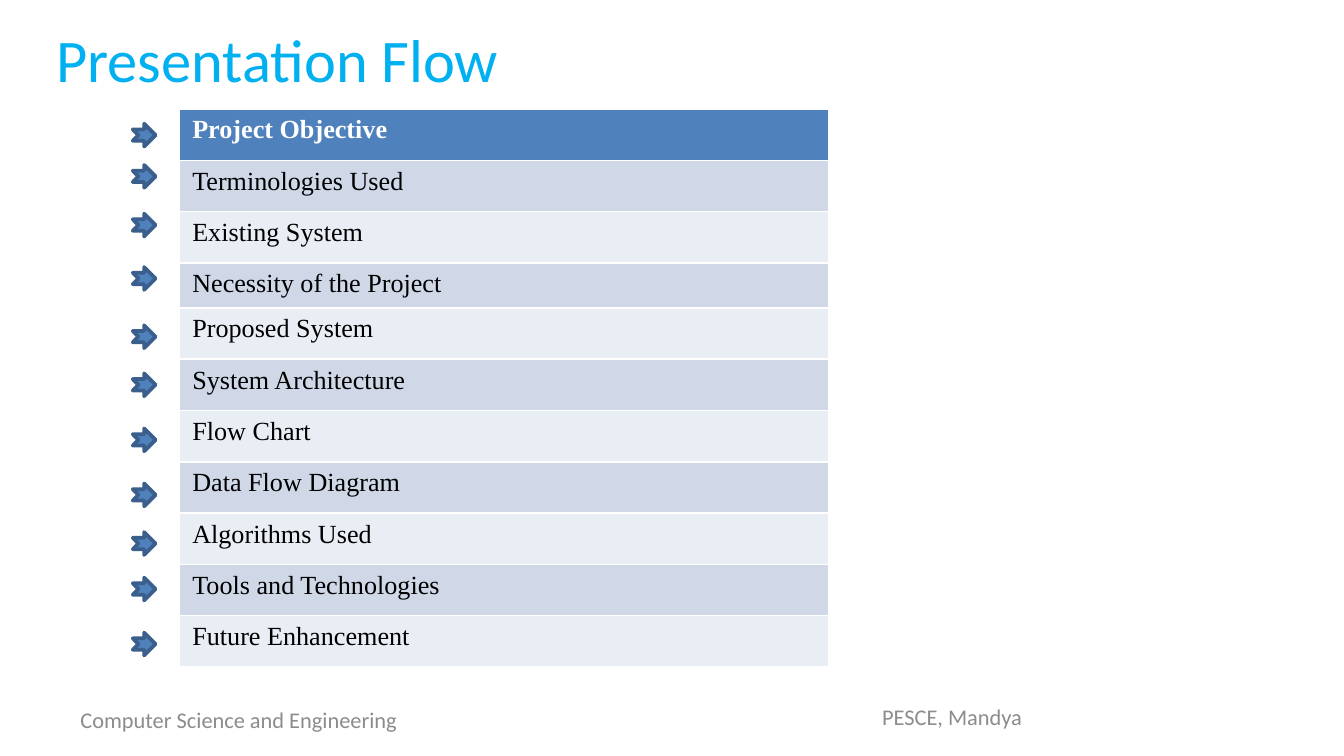
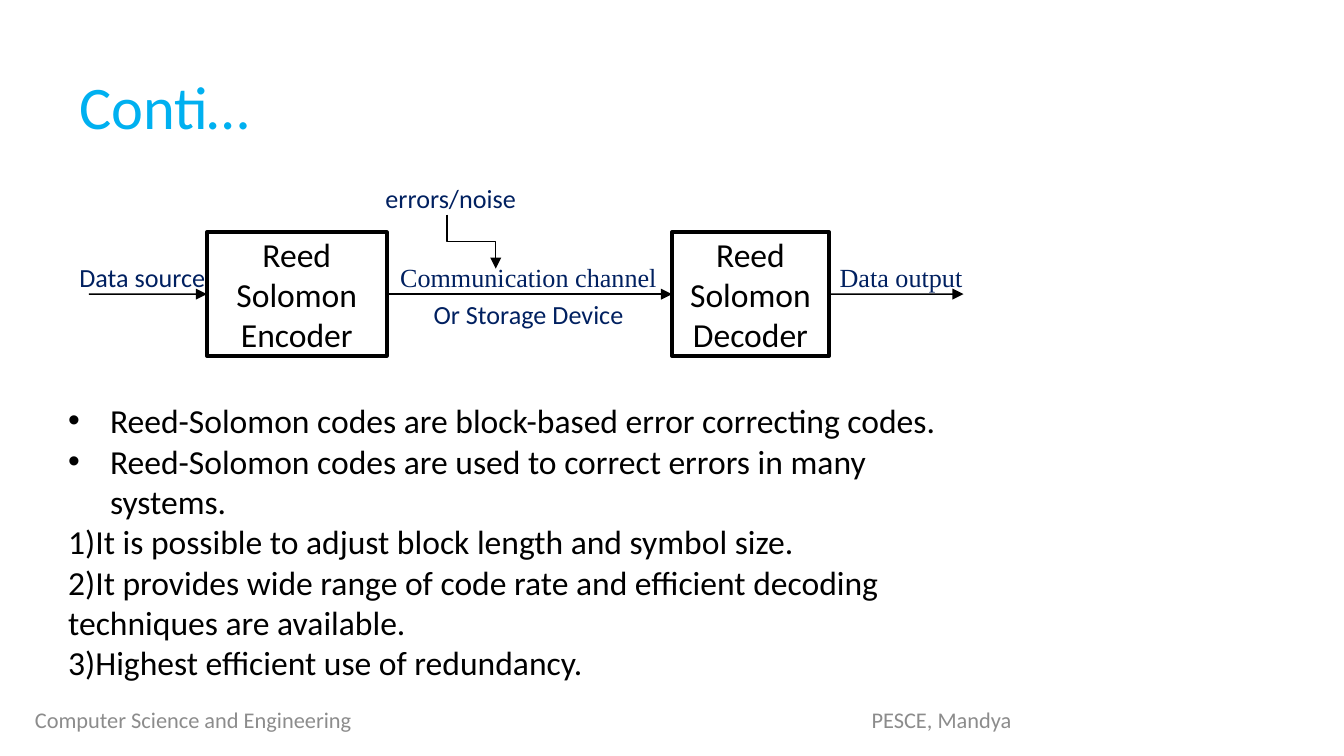
from lxml import etree
from pptx import Presentation
from pptx import util as u
from pptx.dml.color import RGBColor
from pptx.enum import shapes, text
from pptx.oxml.ns import qn

SKY = RGBColor(0x00, 0xB0, 0xF0)
BLUE = RGBColor(0x4F, 0x81, 0xBD)
DARK_BLUE = RGBColor(0x3A, 0x5F, 0x8C)
NAVY = RGBColor(0x00, 0x20, 0x60)
BANDS = RGBColor(0xE9, 0xED, 0xF4), RGBColor(0xD0, 0xD8, 0xE8)
GRAY = RGBColor(0x8C, 0x8C, 0x8C)
BLACK = RGBColor(0x00, 0x00, 0x00)
WHITE = RGBColor(0xFF, 0xFF, 0xFF)
SANS, SERIF = "Calibri", "Times New Roman"
LEFT, CENTER = text.PP_ALIGN.LEFT, text.PP_ALIGN.CENTER
TOP, MIDDLE = text.MSO_ANCHOR.TOP, text.MSO_ANCHOR.MIDDLE

TOPICS = [
    "Project Objective", "Terminologies Used", "Existing System",
    "Necessity of the Project", "Proposed System", "System Architecture",
    "Flow Chart", "Data Flow Diagram", "Algorithms Used",
    "Tools and Technologies", "Future Enhancement",
]
ARROW_TOPS = [2.34, 3.12, 4.04, 5.05, 6.15, 7.06, 8.1, 9.14, 10.06, 10.92, 11.96]
CODE_FACTS = [
    "Reed-Solomon codes are block-based error correcting codes.",
    "Reed-Solomon codes are used to correct errors in many systems.",
]
CODE_BENEFITS = [
    "1)It is possible to adjust block length and symbol size.",
    "2)It provides wide range of code rate and efficient decoding techniques are available.",
    "3)Highest efficient use of redundancy.",
]


class Deck:
    """Holds the shared style and the current slide."""

    def __init__(self):
        self.presentation = Presentation()
        self.presentation.slide_width = u.Cm(25.4)
        self.presentation.slide_height = u.Cm(14.29)
        self.slide = None

    def style(self, frame, size, color, font=SANS, align=LEFT, bold=False):
        for paragraph in frame.paragraphs:
            paragraph.alignment = align
            for run in paragraph.runs:
                run.font.size = u.Pt(size)
                run.font.name = font
                run.font.bold = bold
                run.font.color.rgb = color

    def add_slide(self, title, left, top):
        self.slide = self.presentation.slides.add_slide(self.presentation.slide_layouts[5])
        shape = self.slide.shapes.title
        shape.left, shape.top = u.Cm(left), u.Cm(top)
        shape.width, shape.height = u.Cm(16.54), u.Cm(1.6)
        frame = shape.text_frame
        frame.text = title
        frame.vertical_anchor = MIDDLE
        frame.auto_size = text.MSO_AUTO_SIZE.NONE
        self.style(frame, 32.4, SKY)

    def text_box(self, words, box, size, color, font=SANS, align=LEFT, anchor=MIDDLE):
        frame = self.slide.shapes.add_textbox(*map(u.Cm, box)).text_frame
        frame.word_wrap = True
        frame.vertical_anchor = anchor
        frame.text = words
        self.style(frame, size, color, font, align)
        return frame

    def footers(self, department, college):
        self.text_box("Computer Science and Engineering", (*department, 7.21, 0.76), 12, GRAY)
        self.text_box("PESCE, Mandya", (*college, 8.05, 0.76), 12, GRAY, align=CENTER)

    def label(self, words, center, middle, font=SANS):
        box = (center - 3, middle - 0.4, 6, 0.8)
        self.text_box(words, box, 14, NAVY, font, CENTER)

    def bullets(self, frame, count):
        for paragraph in frame.paragraphs[:count]:
            properties = paragraph._p.get_or_add_pPr()
            properties.set("marL", str(u.Cm(0.79)))
            properties.set("indent", str(-u.Cm(0.79)))
            etree.SubElement(properties, qn("a:buFont"), typeface="Arial")
            etree.SubElement(properties, qn("a:buChar"), char="•")

    def table(self, rows, left, top, width, heights):
        frame = self.slide.shapes.add_table(
            len(rows), 1, u.Cm(left), u.Cm(top), u.Cm(width), u.Cm(sum(heights)))
        for index, (words, height) in enumerate(zip(rows, heights)):
            header = index == 0
            frame.table.rows[index].height = u.Cm(height)
            cell = frame.table.cell(index, 0)
            cell.text = words
            cell.fill.solid()
            cell.fill.fore_color.rgb = BLUE if header else BANDS[index % 2]
            self.style(cell.text_frame, 14, WHITE if header else BLACK, SERIF, bold=header)

    def shape(self, kind, box, fill, line):
        shape = self.slide.shapes.add_shape(kind, *map(u.Cm, box))
        shape.shadow.inherit = False
        shape.fill.solid()
        shape.fill.fore_color.rgb = fill
        shape.line.color.rgb = line
        shape.line.width = u.Pt(2)
        return shape

    def block(self, words, box):
        shape = self.shape(shapes.MSO_SHAPE.RECTANGLE, box, WHITE, BLACK)
        frame = shape.text_frame
        frame.word_wrap = True
        frame.vertical_anchor = MIDDLE
        frame.text = words
        self.style(frame, 18, BLACK, align=CENTER)
        return shape

    def arrow(self, start, end, source=None, target=None, kind=shapes.MSO_CONNECTOR.STRAIGHT):
        connector = self.slide.shapes.add_connector(kind, *map(u.Cm, (*start, *end)))
        if source is not None:
            connector.begin_connect(source, 3)
        if target is not None:
            connector.end_connect(target, 1)
        connector.line.color.rgb = BLACK
        connector.line.width = u.Pt(0.75)
        properties = connector.element.spPr
        etree.SubElement(properties.find(qn("a:ln")), qn("a:tailEnd"), type="triangle")
        etree.SubElement(properties, qn("a:effectLst"))
        return connector


def build_flow(deck):
    deck.add_slide("Presentation Flow", 0.81, 0.3)
    deck.footers((1.27, 13.23), (13.97, 13.16))
    heights = [0.81 if topic == "Necessity of the Project" else 0.97 for topic in TOPICS]
    deck.table(TOPICS, 3.38, 2.06, 12.29, heights)
    for top in ARROW_TOPS:
        deck.shape(shapes.MSO_SHAPE.NOTCHED_RIGHT_ARROW, (2.51, top, 0.43, 0.43), BLUE, DARK_BLUE)


def build_channel(deck):
    deck.add_slide("Conti…", 1.24, 1.19)
    deck.footers((0.41, 13.23), (13.77, 13.23))
    encoder = deck.block("Reed Solomon Encoder", (3.91, 4.39, 3.4, 2.34))
    decoder = deck.block("Reed Solomon Decoder", (12.7, 4.39, 2.97, 2.34))
    middle = 5.56
    deck.arrow((7.31, middle), (12.7, middle), encoder, decoder)
    deck.arrow((1.68, middle), (3.91, middle), target=encoder)
    deck.arrow((15.67, middle), (18.21, middle), source=decoder)
    noise = deck.arrow((9.42, 4.11), (8.4, 5.03), kind=shapes.MSO_CONNECTOR.ELBOW)
    noise.element.spPr.find(qn("a:xfrm")).set("rot", "16200000")
    deck.label("errors/noise", 8.52, 3.74)
    deck.label("Data source", 2.69, 5.23)
    deck.label("Communication channel", 9.99, 5.23, SERIF)
    deck.label("Data output", 17.03, 5.23, SERIF)
    deck.label("Or Storage Device", 9.99, 5.93)
    frame = deck.text_box("\n".join(CODE_FACTS + CODE_BENEFITS), (1.04, 7.44, 16.97, 5.7),
                          18, BLACK, anchor=TOP)
    deck.bullets(frame, len(CODE_FACTS))


def main():
    deck = Deck()
    build_flow(deck)
    build_channel(deck)
    deck.presentation.save("out.pptx")


if __name__ == "__main__":
    main()
